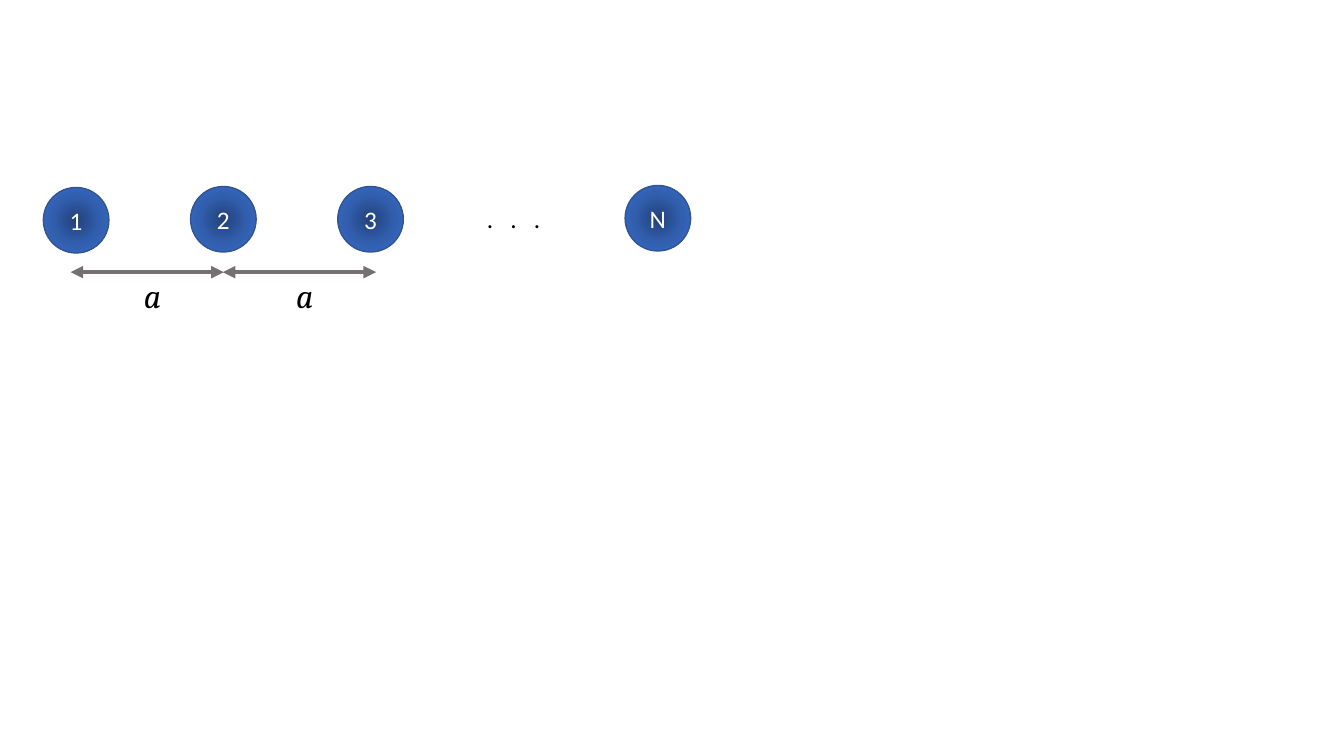
from lxml import etree
from pptx import Presentation
from pptx.dml.color import RGBColor
from pptx.enum.shapes import MSO_CONNECTOR, MSO_SHAPE
from pptx.enum.text import MSO_ANCHOR, MSO_AUTO_SIZE, PP_ALIGN
from pptx.oxml import parse_xml
from pptx.oxml.ns import nsdecls, qn
from pptx.util import Inches, Pt

STRAIGHT = MSO_CONNECTOR.STRAIGHT
OVAL = MSO_SHAPE.OVAL
MIDDLE = MSO_ANCHOR.MIDDLE
CENTER = PP_ALIGN.CENTER
GROW = MSO_AUTO_SIZE.SHAPE_TO_FIT_TEXT

# Content: label, left, top of each atom in the chain
ATOMS = [("1", 0.43, 1.86), ("2", 1.89, 1.85), ("3", 3.35, 1.85), ("N", 6.2, 1.84)]
ELLIPSIS = ". . ."
SPACINGS = ["a", "a"]

COLORS = {"core": "23427A", "mid": "315EAD", "rim": "3A6FCE", "edge": "325491",
          "arrow": "767171", "text": "000000", "atom_text": "FFFFFF"}
ATOM_STOPS = [(0, "core"), (50, "mid"), (100, "rim")]
ATOM_FONT = {"size": Pt(18), "name": "Calibri"}
SPACING_FONT = {"size": Pt(24), "name": "Cambria", "italic": True}

ATOM_SIZE = 0.65
ARROW_LEFT, ARROW_TOP, ARROW_LENGTH, ARROW_STEP = 0.7, 2.7, 1.52, 1.51
LABEL_OFFSET, LABEL_TOP = 0.63, 2.68


def color(name):
    return RGBColor.from_string(COLORS[name])


def write(frame, text, font, color_name):
    para = frame.paragraphs[0]
    span = para.add_run()
    span.text = text
    for key, value in font.items():
        setattr(span.font, key, value)
    span.font.color.rgb = color(color_name)
    return para, span


def add_text(page, text, place, font, wrap):
    box = page.shapes.add_textbox(*map(Inches, place))
    box.text_frame.word_wrap = wrap
    box.text_frame.auto_size = GROW
    return write(box.text_frame, text, font, "text")


def radial_fill(shape):
    shape.fill.gradient()
    gradient = shape.element.spPr.find(qn("a:gradFill"))
    stops = "".join(
        f'<a:gs pos="{percent * 1000}"><a:srgbClr val="{COLORS[name]}"/></a:gs>'
        for percent, name in ATOM_STOPS)
    radial = parse_xml(
        f'<a:gradFill {nsdecls("a")} rotWithShape="1"><a:gsLst>{stops}</a:gsLst>'
        '<a:path path="circle"><a:fillToRect l="50000" t="50000" r="50000" b="50000"/>'
        '</a:path></a:gradFill>')
    gradient.getparent().replace(gradient, radial)


def add_atom(page, label, left, top):
    atom = page.shapes.add_shape(OVAL, *map(Inches, (left, top, ATOM_SIZE, ATOM_SIZE)))
    atom.shadow.inherit = False
    radial_fill(atom)
    atom.line.color.rgb = color("edge")
    atom.line.width = Pt(1)
    atom.text_frame.vertical_anchor = MIDDLE
    para, _ = write(atom.text_frame, label, ATOM_FONT, "atom_text")
    para.alignment = CENTER


def add_double_arrow(page, left):
    ends = (left, ARROW_TOP, left + ARROW_LENGTH, ARROW_TOP)
    arrow = page.shapes.add_connector(STRAIGHT, *map(Inches, ends))
    arrow.line.color.rgb = color("arrow")
    arrow.line.width = Pt(3)
    properties = arrow.element.spPr
    for end in ("a:headEnd", "a:tailEnd"):
        etree.SubElement(properties.find(qn("a:ln")), qn(end), type="triangle")
    etree.SubElement(properties, qn("a:effectLst"))


def main():
    deck = Presentation()
    deck.slide_width, deck.slide_height = Inches(13.33), Inches(7.5)
    page = deck.slides.add_slide(deck.slide_layouts[6])

    # Chain of atoms
    for label, left, top in ATOMS:
        add_atom(page, label, left, top)

    # Dots for the atoms left out, with wide letter spacing
    _, dots = add_text(page, ELLIPSIS, (4.73, 1.97, 0.79, 0.4), ATOM_FONT, False)
    dots.font._element.set("spc", "410")

    # Lattice spacing between neighbours
    for index, label in enumerate(SPACINGS):
        left = ARROW_LEFT + index * ARROW_STEP
        add_double_arrow(page, left)
        add_text(page, label, (left + LABEL_OFFSET, LABEL_TOP, 0.33, 0.5),
                 SPACING_FONT, True)

    deck.save("out.pptx")


if __name__ == "__main__":
    main()
